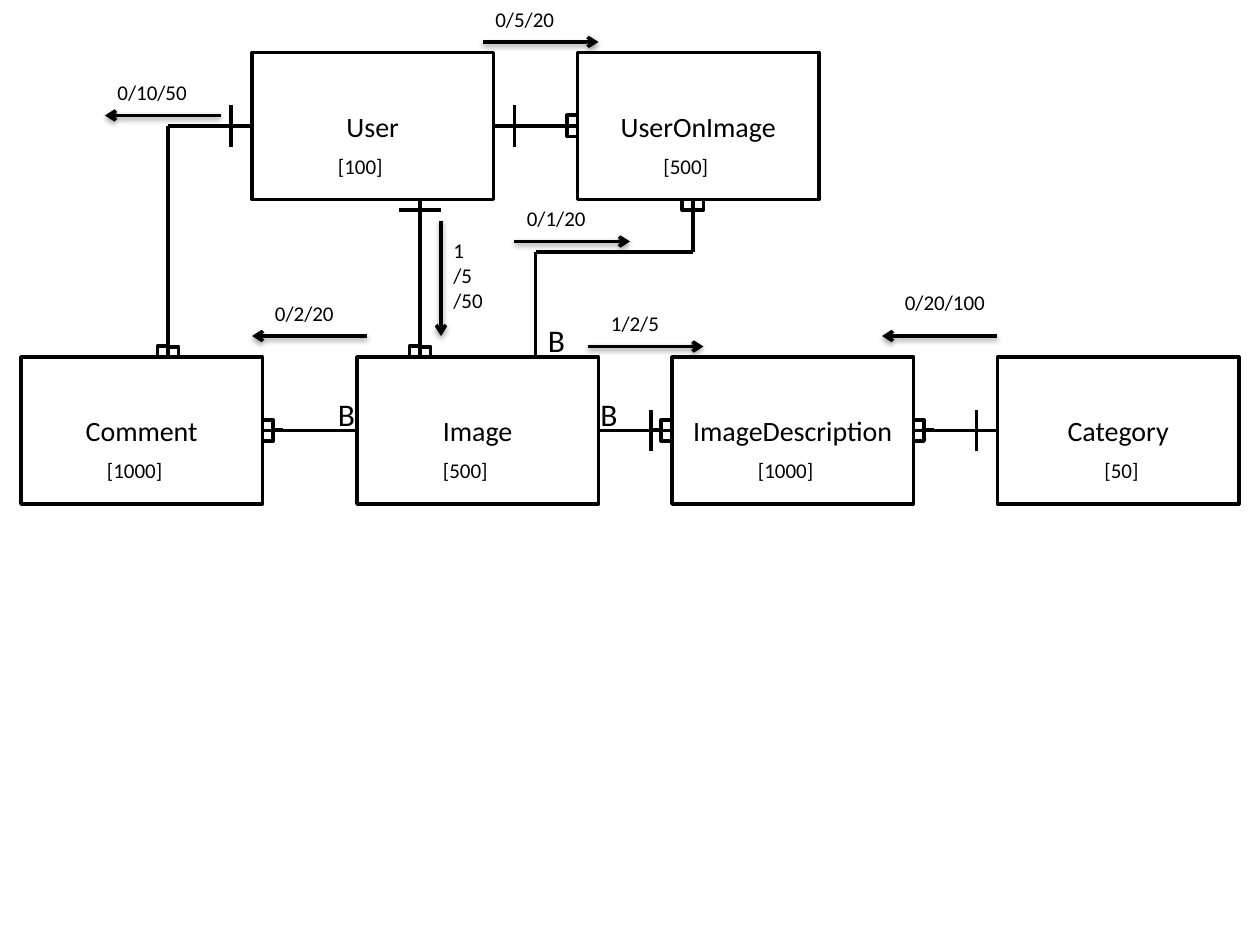
from lxml import etree
from pptx import Presentation
from pptx.dml.color import RGBColor
from pptx.enum.shapes import MSO_CONNECTOR, MSO_SHAPE
from pptx.enum.text import MSO_ANCHOR, MSO_AUTO_SIZE, PP_ALIGN
from pptx.oxml import parse_xml
from pptx.oxml.ns import qn
from pptx.util import Inches, Pt

BLACK = RGBColor(0, 0, 0)
WHITE = RGBColor(255, 255, 255)
FONT = "Calibri"
CELL = Inches(1) // 12
COLS, ROWS = 120, 90
BOX_W, BOX_H = 23, 14
STRAIGHT = MSO_CONNECTOR.STRAIGHT
ELBOW = MSO_CONNECTOR.ELBOW
RECT = MSO_SHAPE.RECTANGLE
CENTER = PP_ALIGN.CENTER
MIDDLE = MSO_ANCHOR.MIDDLE
GROW = MSO_AUTO_SIZE.SHAPE_TO_FIT_TEXT
SHADOW = (
    '<a:effectLst xmlns:a="http://schemas.openxmlformats.org/drawingml/2006/main">'
    '<a:outerShdw blurRad="40000" dist="20000" dir="5400000" rotWithShape="0">'
    '<a:srgbClr val="000000"><a:alpha val="38000"/></a:srgbClr>'
    "</a:outerShdw></a:effectLst>"
)

BOXES = [
    ("User", 24, 5),
    ("UserOnImage", 55, 5),
    ("Comment", 2, 34),
    ("Image", 34, 34),
    ("ImageDescription", 64, 34),
    ("Category", 95, 34),
]
LINKS = [
    (16, 12, 24, 12), (16, 34, 16, 12), (40, 34, 40, 19), (47, 12, 55, 12),
    (25, 41, 34, 41), (57, 41, 64, 41), (87, 41, 95, 41),
    (51, 34, 51, 24), (51, 24, 66, 24), (66, 24, 66, 19),
]
BARS = [
    (38, 20, 42, 20), (22, 14, 22, 10), (49, 14, 49, 10),
    (62, 43, 62, 39), (93, 43, 93, 39),
]
FEET = [
    (66, 19, 0, 1), (16, 34, 0, -1), (40, 34, 0, -1), (55, 12, -1, 0),
    (25, 41, 1, 0), (64, 41, -1, 0), (87, 41, 1, 0),
]
ARROWS = [
    (46, 4, 57, 4), (21, 11, 10, 11), (49, 23, 60, 23), (42, 21, 42, 32),
    (35, 32, 24, 32), (56, 33, 67, 33), (95, 32, 84, 32),
]
NOTES = [
    (["0/5/20"], 46, 0, 12),
    (["0/10/50"], 10, 7, 10),
    (["0/1/20"], 49, 19, 12),
    (["1", "/5", "/50"], 42, 22, 6),
    (["0/2/20"], 25, 28, 9),
    (["1/2/5"], 57, 29, 9),
    (["0/20/100"], 85, 27, 13),
    (["[100]"], 31, 14, 9),
    (["[500]"], 62, 14, 9),
    (["[1000]"], 9, 43, 9),
    (["[500]"], 41, 43, 9),
    (["[1000]"], 71, 43, 9),
    (["[50]"], 104, 43, 9),
]
MARKS = [(31, 37), (56, 37), (51, 30)]


def grid(*cells):
    return [int(cell * CELL) for cell in cells]


def add_run(para, text, size):
    run = para.add_run()
    run.text = text
    run.font.name = FONT
    run.font.size = Pt(size)
    run.font.color.rgb = BLACK


def add_line(shapes, ends, kind=STRAIGHT, width=2.25):
    line = shapes.add_connector(kind, *grid(*ends))
    line.line.color.rgb = BLACK
    line.line.width = Pt(width)
    etree.SubElement(line._element.spPr, qn("a:effectLst"))
    return line


def add_arrow(shapes, ends):
    props = add_line(shapes, ends, width=2)._element.spPr
    etree.SubElement(props.find(qn("a:ln")), qn("a:tailEnd"), type="arrow")
    props.replace(props.find(qn("a:effectLst")), parse_xml(SHADOW))


def add_foot(shapes, x, y, dx, dy):
    foot = shapes.add_group_shape()
    for side in (-1, 1):
        if dx:
            add_line(foot.shapes, (x + 2 * dx, y, x, y + side), ELBOW)
        else:
            mid_x, mid_y = x + side / 2, y + dy
            ends = (mid_x + dy, mid_y + side / 2, mid_x - dy, mid_y - side / 2)
            half = add_line(foot.shapes, ends, ELBOW)
            half._element.spPr.xfrm.rot = 90


def add_box(shapes, name, x, y):
    box = shapes.add_shape(RECT, *grid(x, y, BOX_W, BOX_H))
    box.shadow.inherit = False
    box.fill.solid()
    box.fill.fore_color.rgb = WHITE
    box.line.color.rgb = BLACK
    box.line.width = Pt(2)
    frame = box.text_frame
    frame.word_wrap = True
    frame.vertical_anchor = MIDDLE
    para = frame.paragraphs[0]
    para.alignment = CENTER
    add_run(para, name, 16)


def add_note(shapes, rows, x, y, wide, size=12):
    high = 1.2 + len(rows) * size / 5
    frame = shapes.add_textbox(*grid(x, y, wide, high)).text_frame
    frame.word_wrap = True
    frame.auto_size = GROW
    for i, text in enumerate(rows):
        para = frame.add_paragraph() if i else frame.paragraphs[0]
        add_run(para, text, size)


def main():
    deck = Presentation()
    deck.slide_width, deck.slide_height = grid(COLS, ROWS)
    shapes = deck.slides.add_slide(deck.slide_layouts[6]).shapes
    for ends in LINKS + BARS:
        add_line(shapes, ends)
    for foot in FEET:
        add_foot(shapes, *foot)
    for box in BOXES:
        add_box(shapes, *box)
    for ends in ARROWS:
        add_arrow(shapes, ends)
    for note in NOTES:
        add_note(shapes, *note)
    for x, y in MARKS:
        add_note(shapes, ["B"], x, y, 4, 18)
    deck.save("out.pptx")


if __name__ == "__main__":
    main()
